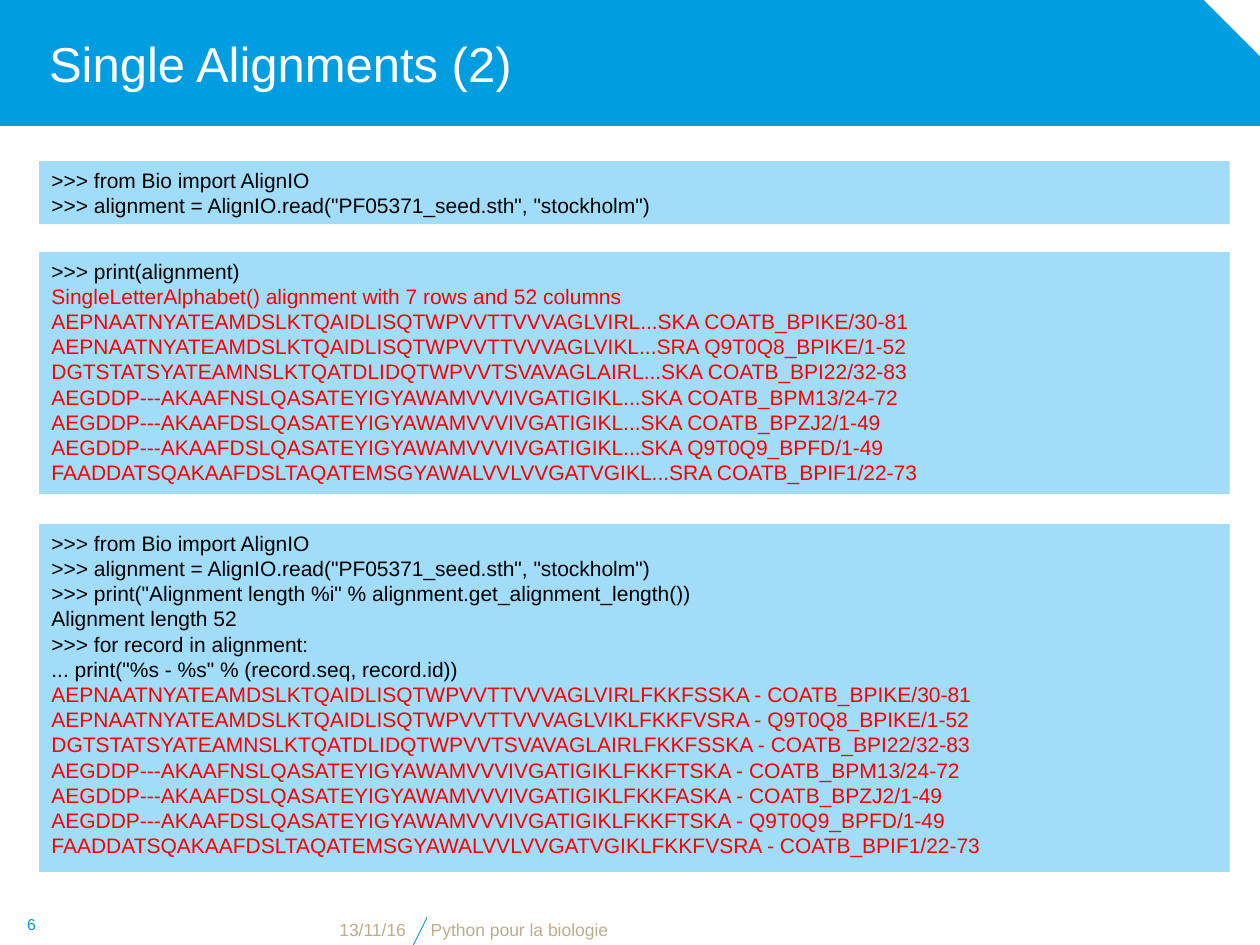
"""Build the "Single Alignments (2)" slide."""
from lxml import etree
from pptx import Presentation
from pptx.dml.color import RGBColor
from pptx.enum.shapes import MSO_CONNECTOR as CONN, MSO_SHAPE as SHAPE
from pptx.enum.text import MSO_ANCHOR as ANCHOR, PP_ALIGN as ALIGN
from pptx.oxml.ns import qn
from pptx.util import Inches, Pt

COLORS = {"blue": "009DE0", "pale": "A1DDF9", "sand": "BEAD8A",
          "white": "FFFFFF", "black": "000000", "red": "FF0000"}


def rgb(name):
    return RGBColor.from_string(COLORS[name])


def write(sp, text, size=12, color="black", align=ALIGN.LEFT, anchor=ANCHOR.TOP, left=0.1):
    tf = sp.text_frame
    tf.word_wrap = True
    tf.vertical_anchor = anchor
    tf.margin_left = Inches(left)
    start = len(tf.paragraphs) if tf.text else 0
    for i, line in enumerate(text.split("\n")):
        p = tf.add_paragraph() if start + i else tf.paragraphs[0]
        p.alignment = align
        r = p.add_run()
        r.text = line
        r.font.name = "Arial"
        r.font.size = Pt(size)
        r.font.color.rgb = rgb(color)


prs = Presentation()
prs.slide_width, prs.slide_height = Inches(10), Inches(7.5)
s = prs.slides.add_slide(prs.slide_layouts[6])

banner = s.shapes.add_shape(SHAPE.SNIP_1_RECTANGLE, 0, 0, Inches(10.01), Inches(1))
banner.adjustments[0] = 0.458
banner.shadow.inherit = False
banner.fill.solid()
banner.fill.fore_color.rgb = rgb("blue")
banner.line.fill.background()

slash = s.shapes.add_connector(CONN.STRAIGHT, Inches(3.28), Inches(7.5), Inches(3.39), Inches(7.28))
slash.line.color.rgb = rgb("blue")
slash.line.width = Pt(0.5)
etree.SubElement(slash.element.spPr, qn("a:effectLst"))

labels = [
    ((0, 0, 9.5, 1), "Single Alignments (2)",
     dict(size=28, color="white", anchor=ANCHOR.MIDDLE, left=0.39)),
    ((0.99, 7.28, 2.33, 0.23), "13/11/16",
     dict(size=10, color="sand", align=ALIGN.RIGHT, anchor=ANCHOR.BOTTOM)),
    ((3.32, 7.28, 5.75, 0.23), "Python pour la biologie",
     dict(size=10, color="sand", anchor=ANCHOR.BOTTOM)),
    ((0, 7.17, 0.5, 0.33), "6",
     dict(size=9, color="blue", align=ALIGN.CENTER, anchor=ANCHOR.MIDDLE)),
]
for box, text, fmt in labels:
    write(s.shapes.add_textbox(*map(Inches, box)), text, **fmt)

records = [
    ("AEPNAATNYATEAMDSLKTQAIDLISQTWPVVTTVVVAGLVIRLFKKFSSKA", "COATB_BPIKE/30-81"),
    ("AEPNAATNYATEAMDSLKTQAIDLISQTWPVVTTVVVAGLVIKLFKKFVSRA", "Q9T0Q8_BPIKE/1-52"),
    ("DGTSTATSYATEAMNSLKTQATDLIDQTWPVVTSVAVAGLAIRLFKKFSSKA", "COATB_BPI22/32-83"),
    ("AEGDDP---AKAAFNSLQASATEYIGYAWAMVVVIVGATIGIKLFKKFTSKA", "COATB_BPM13/24-72"),
    ("AEGDDP---AKAAFDSLQASATEYIGYAWAMVVVIVGATIGIKLFKKFASKA", "COATB_BPZJ2/1-49"),
    ("AEGDDP---AKAAFDSLQASATEYIGYAWAMVVVIVGATIGIKLFKKFTSKA", "Q9T0Q9_BPFD/1-49"),
    ("FAADDATSQAKAAFDSLTAQATEMSGYAWALVVLVVGATVGIKLFKKFVSRA", "COATB_BPIF1/22-73"),
]
short = "\n".join(f"{seq[:-8]}...{seq[-3:]} {name}" for seq, name in records)
full = "\n".join(f"{seq} - {name}" for seq, name in records)
load = '>>> from Bio import AlignIO\n>>> alignment = AlignIO.read("PF05371_seed.sth", "stockholm")'
loop = """
>>> print("Alignment length %i" % alignment.get_alignment_length())
Alignment length 52
>>> for record in alignment:
... print("%s - %s" % (record.seq, record.id))"""

blocks = [
    (1.28, 0.5, load, ""),
    (2, 1.92, ">>> print(alignment)",
     "SingleLetterAlphabet() alignment with 7 rows and 52 columns\n" + short),
    (4.16, 2.76, load + loop, full),
]
for top, height, code, output in blocks:
    sp = s.shapes.add_shape(SHAPE.RECTANGLE, Inches(0.31), Inches(top), Inches(9.45), Inches(height))
    sp.shadow.inherit = False
    sp.fill.solid()
    sp.fill.fore_color.rgb = rgb("pale")
    sp.line.fill.background()
    write(sp, code)
    if output:
        write(sp, output, color="red")

prs.save("out.pptx")
